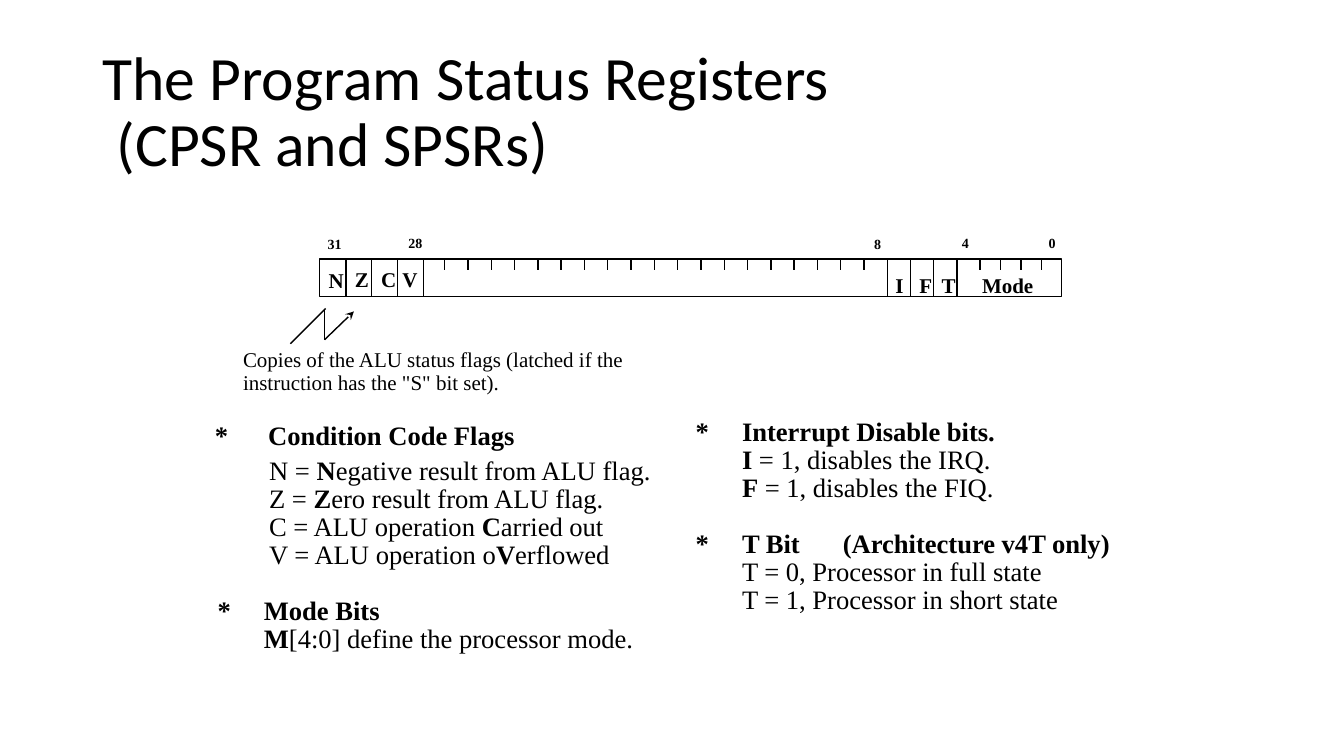
from dataclasses import dataclass

from lxml import etree
from pptx import Presentation
from pptx.dml.color import RGBColor
from pptx.enum.shapes import MSO_CONNECTOR as Connector, MSO_SHAPE as Shape
from pptx.enum.text import MSO_ANCHOR as Anchor
from pptx.oxml.ns import qn
from pptx.slide import Slide
from pptx.util import Inches, Pt

COLORS = {"ink": "000000"}
SERIF = "Times New Roman"
REGISTER_TOP = 2.57
TICK_BOTTOM = 2.68
DIVIDER_BOTTOM = 2.95


@dataclass(frozen=True)
class TextBlock:
    left: float
    top: float
    width: float
    height: float
    lines: tuple[str, ...]
    size: float = 19
    font: str = SERIF
    spacing: float = 0.88
    wrap: bool = False
    inset: tuple[float, float] = (0.07, 0.03)
    anchor: Anchor = Anchor.TOP
    hanging: float = 0
    tab_stop: float = 0


@dataclass(frozen=True)
class Segment:
    start: tuple[float, float]
    end: tuple[float, float]
    arrow: bool = False


def ink() -> RGBColor:
    return RGBColor.from_string(COLORS["ink"])


def indent_paragraph(paragraph, block: TextBlock) -> None:
    properties = paragraph._p.get_or_add_pPr()
    properties.set("marL", str(Inches(block.hanging)))
    properties.set("indent", str(-Inches(block.hanging)))
    stops = etree.SubElement(properties, qn("a:tabLst"))
    for position in (block.hanging, block.tab_stop):
        if position:
            etree.SubElement(stops, qn("a:tab"), pos=str(Inches(position)), algn="l")


def add_text(slide: Slide, block: TextBlock) -> None:
    shape = slide.shapes.add_textbox(
        Inches(block.left), Inches(block.top), Inches(block.width), Inches(block.height)
    )
    frame = shape.text_frame
    frame.word_wrap = block.wrap
    frame.vertical_anchor = block.anchor
    frame.margin_left = frame.margin_right = Inches(block.inset[0])
    frame.margin_top = frame.margin_bottom = Inches(block.inset[1])
    for number, line in enumerate(block.lines):
        paragraph = frame.add_paragraph() if number else frame.paragraphs[0]
        if block.hanging:
            indent_paragraph(paragraph, block)
        paragraph.line_spacing = block.spacing
        if number and line.startswith("|*"):
            paragraph.space_before = Pt(19.5)
        for position, part in enumerate(line.split("|")):
            if not part:
                continue
            if "\v" in part:
                paragraph.text = part
                run_list = paragraph.runs
            else:
                run = paragraph.add_run()
                run.text = part
                run_list = (run,)
            for run in run_list:
                run.font.name = block.font
                run.font.size = Pt(block.size)
                run.font.bold = position % 2 == 1
                run.font.color.rgb = ink()


def add_segment(slide: Slide, segment: Segment) -> None:
    connector = slide.shapes.add_connector(
        Connector.STRAIGHT, *(Inches(value) for value in segment.start + segment.end)
    )
    connector.line.color.rgb = ink()
    connector.line.width = Pt(1)
    if segment.arrow:
        etree.SubElement(connector.line._get_or_add_ln(), qn("a:tailEnd"), type="stealth")
    etree.SubElement(connector._element.spPr, qn("a:effectLst"))


def add_register(slide: Slide) -> None:
    outline = slide.shapes.add_shape(
        Shape.RECTANGLE, Inches(3.17), Inches(REGISTER_TOP), Inches(7.36), Inches(0.37)
    )
    outline.shadow.inherit = False
    outline.fill.background()
    outline.line.color.rgb = ink()
    outline.line.width = Pt(1)

    flag_dividers = [3.43 + 0.77 * step / 3 for step in range(4)]
    control_dividers = [8.8 + 0.23 * step for step in range(4)]
    reserved_ticks = [4.41 + 4.16 * step / 18 for step in range(19)]
    mode_ticks = [9.72 + 0.61 * step / 3 for step in range(4)]
    for marks, bottom in (
        (flag_dividers + control_dividers, DIVIDER_BOTTOM),
        (reserved_ticks + mode_ticks, TICK_BOTTOM),
    ):
        for x in marks:
            add_segment(slide, Segment((x, REGISTER_TOP), (x, bottom)))

    for name, left, top, width in (
        ("N", 3.19, 2.65, 0.3), ("Z", 3.45, 2.64, 0.29),
        ("C", 3.71, 2.64, 0.3), ("V", 3.92, 2.64, 0.3),
        ("I", 8.81, 2.7, 0.22), ("F", 9.05, 2.7, 0.27), ("T", 9.27, 2.7, 0.28),
        ("Mode", 9.67, 2.7, 0.66),
    ):
        add_text(slide, TextBlock(left, top, width, 0.28, (f"|{name}",), 15, spacing=0.9))
    for bit, left, top, width in (
        (31, 3.18, 2.31, 0.29), (28, 3.98, 2.3, 0.29),
        (8, 8.6, 2.31, 0.22), (4, 9.47, 2.3, 0.22), (0, 10.33, 2.3, 0.22),
    ):
        add_text(slide, TextBlock(left, top, width, 0.23, (f"|{bit}",), 10, spacing=1.0))


TEXT_BLOCKS = (
    TextBlock(
        0.92, 0.4, 11.5, 1.45, ("The Program Status Registers\v (CPSR and SPSRs)",),
        size=44, font="Calibri", spacing=0.9, wrap=True, inset=(0.1, 0.05),
        anchor=Anchor.MIDDLE,
    ),
    TextBlock(
        2.34, 3.44, 3.92, 0.51,
        ("Copies of the ALU status flags (latched if the",
         'instruction has the "S" bit set).'),
        size=15, spacing=0.9,
    ),
    TextBlock(
        2.06, 4.12, 4.39, 0.39, ("|*\tCondition Code Flags",),
        spacing=1.02, wrap=True, hanging=0.53,
    ),
    TextBlock(
        2.6, 4.51, 3.97, 1.18,
        ("N = |N|egative result from ALU flag.", "Z = |Z|ero result from ALU flag.",
         "C = ALU operation |C|arried out", "V = ALU operation o|V|erflowed"),
    ),
    TextBlock(
        2.06, 5.88, 4.36, 0.7,
        ("|*\tMode Bits", "\t|M|[4:0] define the processor mode."),
        wrap=True, inset=(0.1, 0.05), hanging=0.46,
    ),
    TextBlock(
        6.83, 4.13, 4.4, 2.3,
        ("|*\tInterrupt Disable bits.", "\t|I| = 1, disables the IRQ.",
         "\t|F| = 1, disables the FIQ.", "|*\tT Bit\t(Architecture v4T only)",
         "\tT = 0, Processor in full state", "\tT = 1, Processor in short state"),
        wrap=True, hanging=0.46, tab_stop=1.38,
    ),
)

FLAG_POINTER = (
    Segment((2.88, 3.41), (3.23, 3.06)),
    Segment((3.22, 3.07), (3.22, 3.37)),
    Segment((3.22, 3.37), (3.51, 3.09), arrow=True),
)


def main() -> None:
    presentation = Presentation()
    presentation.slide_width = Inches(13.33)
    presentation.slide_height = Inches(7.5)
    slide = presentation.slides.add_slide(presentation.slide_layouts[6])
    for block in TEXT_BLOCKS:
        add_text(slide, block)
    add_register(slide)
    for segment in FLAG_POINTER:
        add_segment(slide, segment)
    presentation.save("out.pptx")


if __name__ == "__main__":
    main()
